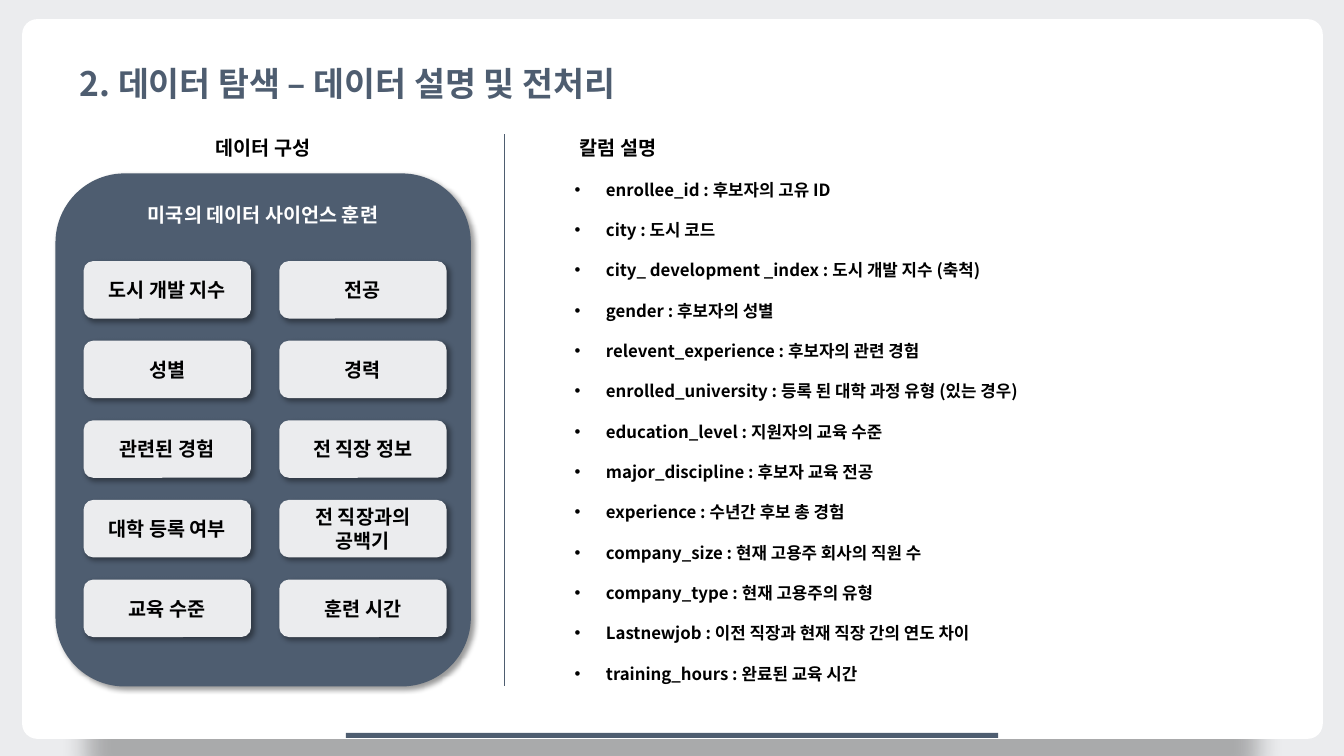
from lxml.etree import SubElement
from pptx import Presentation
from pptx.dml.color import RGBColor
from pptx.enum.shapes import MSO_CONNECTOR, MSO_SHAPE
from pptx.enum.text import MSO_ANCHOR, MSO_AUTO_SIZE, PP_ALIGN
from pptx.oxml.ns import qn
from pptx.util import Inches, Pt

COLORS = {"navy": "4E5D70", "pale": "EBECEE", "white": "FFFFFF", "black": "000000"}
FONT = "Noto Sans CJK KR"
LEFT = ["도시 개발 지수", "성별", "관련된 경험", "대학 등록 여부", "교육 수준"]
RIGHT = ["전공", "경력", "전 직장 정보", "전 직장과의\n공백기", "훈련 시간"]
LATIN = {"관련된 경험": "Arial", "대학 등록 여부": "Arial"}
FIELDS = [
    "enrollee_id : 후보자의 고유 ID",
    "city : 도시 코드",
    "city_ development _index : 도시 개발 지수 (축척)",
    "gender : 후보자의 성별",
    "relevent_experience : 후보자의 관련 경험",
    "enrolled_university : 등록 된 대학 과정 유형 (있는 경우)",
    "education_level : 지원자의 교육 수준",
    "major_discipline : 후보자 교육 전공",
    "experience : 수년간 후보 총 경험",
    "company_size : 현재 고용주 회사의 직원 수",
    "company_type : 현재 고용주의 유형",
    "Lastnewjob : 이전 직장과 현재 직장 간의 연도 차이",
    "training_hours : 완료된 교육 시간",
]


def color(name):
    return RGBColor.from_string(COLORS[name])


def place(shape, box):
    shape.left, shape.top, shape.width, shape.height = map(Inches, box)


def write(shape, text, size=14, ink="black", font=FONT, align=PP_ALIGN.CENTER,
          anchor=MSO_ANCHOR.MIDDLE, wrap=True, line=None, after=0, bullet=None):
    frame = shape.text_frame
    frame.text = text
    frame.word_wrap = wrap
    frame.auto_size = MSO_AUTO_SIZE.NONE
    frame.vertical_anchor = anchor
    for para in frame.paragraphs:
        para.alignment = align
        para.space_before = Pt(0)
        para.space_after = Pt(after)
        if line:
            para.line_spacing = line
        if bullet:
            props = para._p.get_or_add_pPr()
            props.set("marL", str(Inches(0.31)))
            props.set("indent", str(-Inches(0.31)))
            SubElement(props, qn("a:buFont"), typeface="Arial")
            SubElement(props, qn("a:buChar"), char=bullet)
        for run in para.runs:
            run.font.size = Pt(size)
            run.font.bold = True
            run.font.name = font
            run.font.color.rgb = color(ink)
            SubElement(run._r.get_or_add_rPr(), qn("a:ea"), typeface=FONT)


def block(slide, kind, box, fill):
    shape = slide.shapes.add_shape(kind, *map(Inches, box))
    shape.shadow.inherit = False
    shape.fill.solid()
    shape.fill.fore_color.rgb = color(fill)
    shape.line.fill.background()
    return shape


def shade(shape, alpha=40, blur=4, dist=3, angle=45, scale=100):
    effects = shape.element.spPr.find(qn("a:effectLst"))
    outer = SubElement(effects, qn("a:outerShdw"), blurRad=str(Pt(blur)), dist=str(Pt(dist)),
                       dir=str(angle * 60000), sx=str(scale * 1000), sy=str(scale * 1000),
                       algn="ctr" if scale < 100 else "tl", rotWithShape="0")
    tone = SubElement(outer, qn("a:srgbClr"), val=COLORS["black"])
    SubElement(tone, qn("a:alpha"), val=str(alpha * 1000))


def label(slide, box, text, **style):
    write(slide.shapes.add_textbox(*map(Inches, box)), text, wrap=False, **style)


def frame(slide, box):
    x, y, wide, high = box
    slide.background.fill.solid()
    slide.background.fill.fore_color.rgb = color("pale")
    card = block(slide, MSO_SHAPE.ROUNDED_RECTANGLE, box, "white")
    card.adjustments[0] = 0.021
    shade(card, alpha=27, blur=19, dist=55, angle=90, scale=90)
    title = slide.shapes.title
    title.element.addprevious(card.element)
    place(title, (x + 0.47, y + 0.18, 7.47, 0.71))
    write(title, "2. 데이터 탐색 – 데이터 설명 및 전처리", size=24, ink="navy",
          align=PP_ALIGN.LEFT, anchor=MSO_ANCHOR.TOP, line=1.5)
    block(slide, MSO_SHAPE.RECTANGLE, (x + 3.21, y + high - 0.06, 6.47, 0.05), "navy")


def divide(slide, x, top, end):
    rule = slide.shapes.add_connector(MSO_CONNECTOR.STRAIGHT, *map(Inches, (x, top, x, end)))
    rule.line.color.rgb = color("navy")
    rule.line.width = Pt(0.5)
    SubElement(rule.element.spPr, qn("a:effectLst"))


def panel(slide, box):
    x, y, wide, high = box
    label(slide, (x, y, wide, 0.34), "데이터 구성")
    back = block(slide, MSO_SHAPE.ROUNDED_RECTANGLE, (x, y + 0.43, wide, high - 0.43), "navy")
    shade(back)
    label(slide, (x + 0.02, y + 0.67, wide - 0.04, 0.34), "미국의 데이터 사이언스 훈련", ink="white")
    for col, names in enumerate((LEFT, RIGHT)):
        for row, name in enumerate(names):
            spot = (x + 0.28 + col * 1.94, y + 1.3 + row * 0.79, 1.66, 0.57)
            tile = block(slide, MSO_SHAPE.ROUNDED_RECTANGLE, spot, "pale")
            shade(tile)
            write(tile, name, font=LATIN.get(name, FONT))


def fields(slide, box):
    x, y, wide, high = box
    label(slide, (x, y, 1.06, 0.34), "칼럼 설명")
    body = slide.placeholders[1]
    place(body, (x, y + 0.44, wide, high - 0.44))
    write(body, "\n".join(FIELDS), size=12, align=PP_ALIGN.LEFT, anchor=MSO_ANCHOR.TOP,
          line=Pt(14.4), after=14.4, bullet="•")


def main():
    deck = Presentation()
    deck.slide_width, deck.slide_height = Inches(13.33), Inches(7.5)
    slide = deck.slides.add_slide(deck.slide_layouts[1])
    frame(slide, (0.22, 0.19, 12.9, 7.14))
    divide(slide, 5, 1.33, 6.81)
    panel(slide, (0.55, 1.29, 4.12, 5.52))
    fields(slide, (5.6, 1.29, 7.2, 5.69))
    deck.save("out.pptx")


main()
